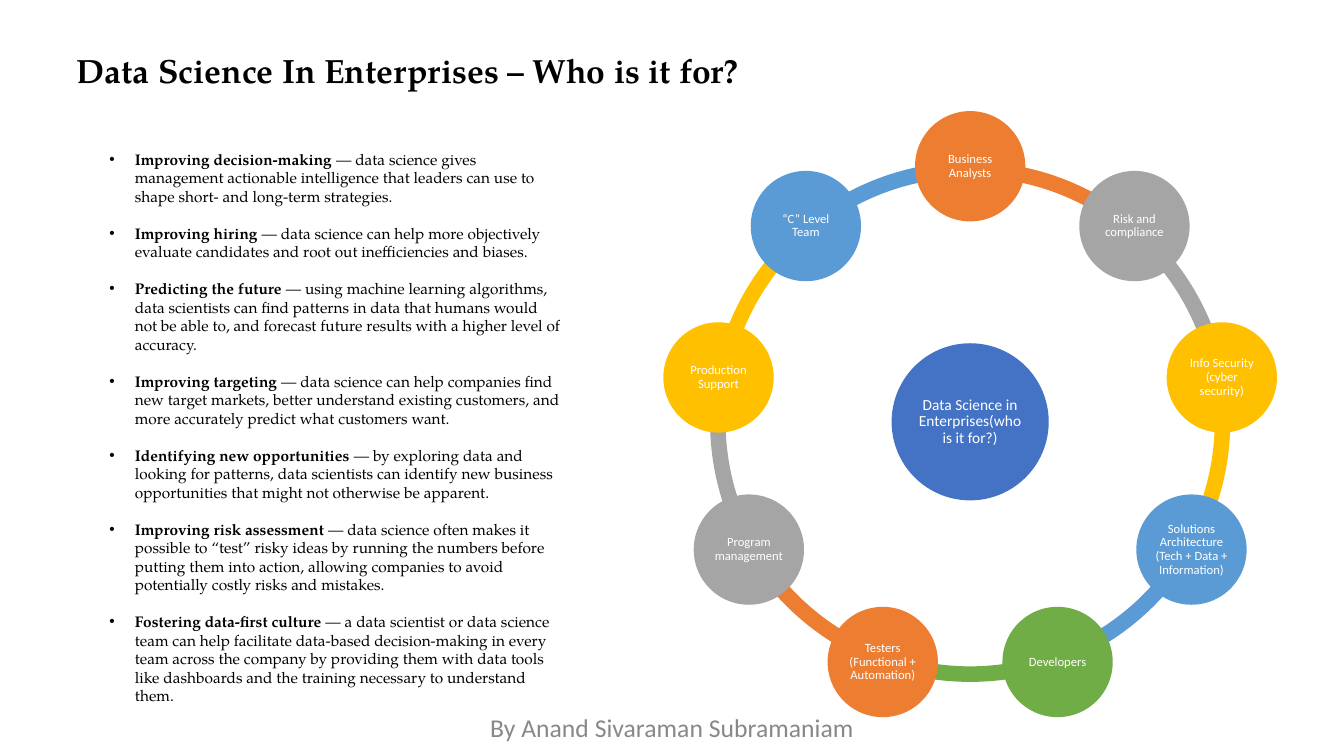
import math

import pptx
import pptx.dml.color
import pptx.enum.shapes
import pptx.enum.text
import pptx.util
from lxml import etree

Cm, Pt = pptx.util.Cm, pptx.util.Pt
SHAPE = pptx.enum.shapes.MSO_SHAPE
ALIGN = pptx.enum.text.PP_ALIGN
ANCHOR = pptx.enum.text.MSO_ANCHOR

TITLE = "Data Science In Enterprises – Who is it for?"
AUTHOR = "By Anand Sivaraman Subramaniam"
HUB = "Data Science in Enterprises(who is it for?)"
BENEFITS = [
    ("Improving decision-making", "data science gives management actionable intelligence that leaders can use to shape short- and long-term strategies."),
    ("Improving hiring", "data science can help more objectively evaluate candidates and root out inefficiencies and biases."),
    ("Predicting the future", "using machine learning algorithms, data scientists can find patterns in data that humans would not be able to, and forecast future results with a higher level of accuracy."),
    ("Improving targeting", "data science can help companies find new target markets, better understand existing customers, and more accurately predict what customers want."),
    ("Identifying new opportunities", "by exploring data and looking for patterns, data scientists can identify new business opportunities that might not otherwise be apparent."),
    ("Improving risk assessment", "data science often makes it possible to “test” risky ideas by running the numbers before putting them into action, allowing companies to avoid potentially costly risks and mistakes."),
    ("Fostering data-first culture", "a data scientist or data science team can help facilitate data-based decision-making in every team across the company by providing them with data tools like dashboards and the training necessary to understand them."),
]
ORANGE, GRAY, YELLOW, BLUE, GREEN = "ED7D31", "A5A5A5", "FFC000", "5B9BD5", "70AD47"
ROLES = [
    ("Business Analysts", ORANGE),
    ("Risk and compliance", GRAY),
    ("Info Security (cyber security)", YELLOW),
    ("Solutions Architecture (Tech + Data + Information)", BLUE),
    ("Developers", GREEN),
    ("Testers (Functional + Automation)", ORANGE),
    ("Program management", GRAY),
    ("Production Support", YELLOW),
    ("“C” Level Team", BLUE),
]

SERIF, SANS = "TeX Gyre Pagella", "Calibri"
CENTER_X, CENTER_Y = 24.45, 10.63
ORBIT, RING_SIZE, RING_THICKNESS = 6.44, 13.11, 0.03
ROLE_SIZE, HUB_SIZE = 2.78, 3.96
STEP = 360 / len(ROLES)
LINE_PITCH = Pt(13.2)


def color(hex_value):
    return pptx.dml.color.RGBColor.from_string(hex_value)


def apply(target, values):
    for key, value in values.items():
        setattr(target, key, value)


def set_insets(frame, inset):
    sides = ("margin_left", "margin_top", "margin_right", "margin_bottom")
    apply(frame, dict.fromkeys(sides, Cm(inset)) | {"word_wrap": True})


def write(paragraph, text, font, size, hex_value, bold=False):
    run = paragraph.add_run()
    run.text = text
    apply(run.font, {"name": font, "size": Pt(size), "bold": bold})
    run.font.color.rgb = color(hex_value)


def add_text_area(slide, left, top, width, height):
    frame = slide.shapes.add_textbox(Cm(left), Cm(top), Cm(width), Cm(height)).text_frame
    set_insets(frame, 0.25)
    return frame


def add_centered(slide, kind, x, y, size, fill):
    shape = slide.shapes.add_shape(
        kind, Cm(x - size / 2), Cm(y - size / 2), Cm(size), Cm(size))
    shape.shadow.inherit = False
    shape.fill.solid()
    shape.fill.fore_color.rgb = color(fill)
    shape.line.fill.background()
    return shape


def add_circle(slide, text, x, y, size, fill, font_size):
    frame = add_centered(slide, SHAPE.OVAL, x, y, size, fill).text_frame
    set_insets(frame, 0.03)
    frame.vertical_anchor = ANCHOR.MIDDLE
    label = frame.paragraphs[0]
    apply(label, {"alignment": ALIGN.CENTER, "line_spacing": 0.9})
    write(label, text, SANS, font_size, "FFFFFF")


def add_benefits(slide):
    frame = add_text_area(slide, 1.88, 3.53, 12.52, 11.96)
    for index, (lead, detail) in enumerate(BENEFITS):
        benefit = frame.add_paragraph() if index else frame.paragraphs[0]
        apply(benefit, {"line_spacing": LINE_PITCH, "space_after": LINE_PITCH})
        properties = benefit._p.get_or_add_pPr()
        properties.set("marL", str(Cm(1.27)))
        properties.set("indent", str(-Cm(0.64)))
        namespace = properties.nsmap["a"]
        bullet_font = etree.SubElement(properties, f"{{{namespace}}}buFont")
        bullet_font.set("typeface", "Arial")
        bullet = etree.SubElement(properties, f"{{{namespace}}}buChar")
        bullet.set("char", "•")
        write(benefit, lead + " ", SERIF, 11, "000000", bold=True)
        write(benefit, "— " + detail, SERIF, 11, "000000")


def add_wheel(slide):
    for index, (_, fill) in reversed(list(enumerate(ROLES))):
        start = 270 + index * STEP
        arc = add_centered(slide, SHAPE.BLOCK_ARC, CENTER_X, CENTER_Y, RING_SIZE, fill)
        for position, angle in enumerate((start, start + STEP)):
            arc.adjustments[position] = angle % 360 * 0.6
        arc.adjustments[2] = RING_THICKNESS
    add_circle(slide, HUB, CENTER_X, CENTER_Y, HUB_SIZE, "4472C4", 11)
    for index, (role, fill) in enumerate(ROLES):
        angle = math.radians(index * STEP)
        x = CENTER_X + ORBIT * math.sin(angle)
        y = CENTER_Y - ORBIT * math.cos(angle)
        add_circle(slide, role, x, y, ROLE_SIZE, fill, 9)


def main():
    deck = pptx.Presentation()
    apply(deck, {"slide_width": Cm(33.87), "slide_height": Cm(19.05)})
    slide = deck.slides.add_slide(deck.slide_layouts[6])
    title = add_text_area(slide, 1.68, 1.02, 30.5, 0.94)
    write(title.paragraphs[0], TITLE, SERIF, 24, "000000", bold=True)
    add_benefits(slide)
    author = add_text_area(slide, 11.51, 17.7, 10.85, 0.97).paragraphs[0]
    author.alignment = ALIGN.CENTER
    write(author, AUTHOR, SANS, 18.3, "888888")
    add_wheel(slide)
    deck.save("out.pptx")


if __name__ == "__main__":
    main()
